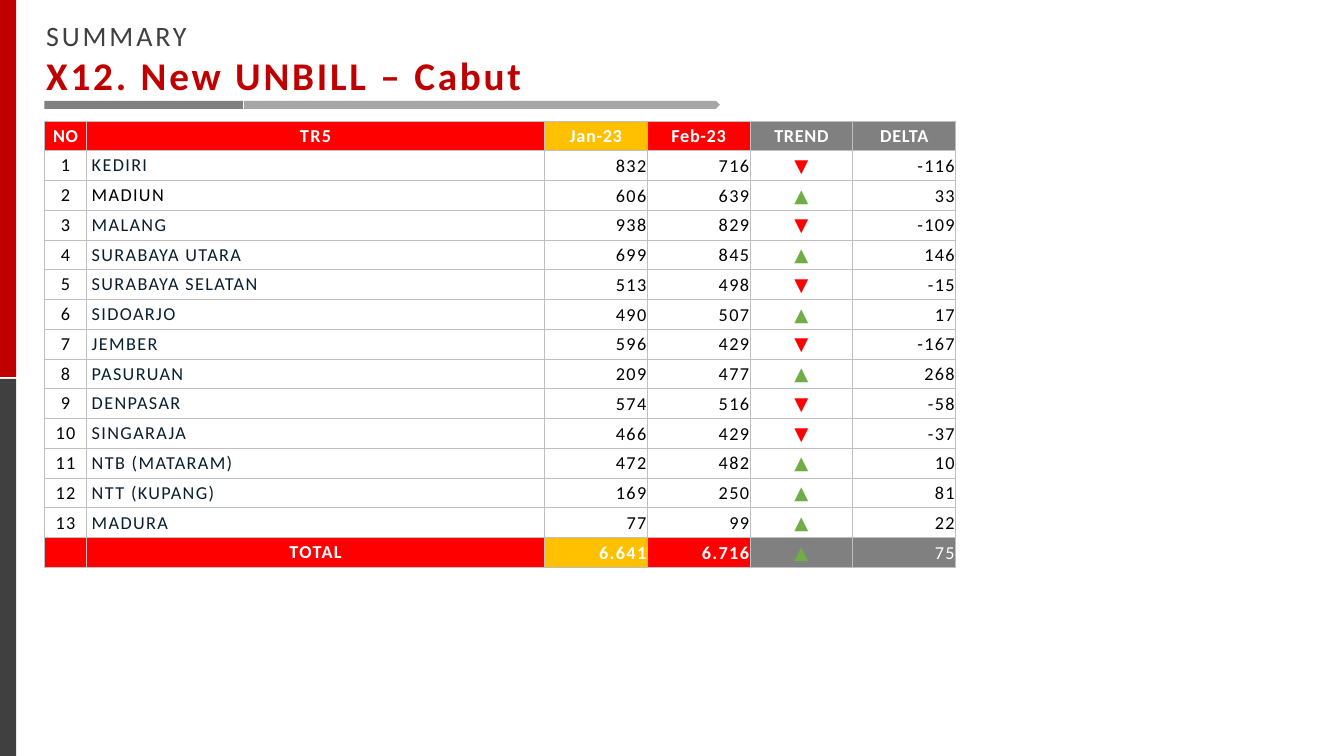
from dataclasses import dataclass

from lxml import etree
from pptx import Presentation
from pptx.dml.color import RGBColor
from pptx.enum import shapes, text
from pptx.oxml import ns
from pptx.util import Inches, Pt


@dataclass(frozen=True)
class Theme:
    font: str = "Calibri"
    dark: str = "404040"
    accent: str = "C00000"
    red: str = "FF0000"
    amber: str = "FFC000"
    gray: str = "808080"
    light_gray: str = "A6A6A6"
    border: str = "BFBFBF"
    navy: str = "091F30"
    green: str = "70AD47"
    black: str = "000000"
    white: str = "FFFFFF"
    kicker_size: int = 20
    title_size: int = 28
    table_size: int = 13


T = Theme()
LEFT, CENTER, RIGHT = text.PP_ALIGN.LEFT, text.PP_ALIGN.CENTER, text.PP_ALIGN.RIGHT

HEADERS = ["NO", "TR5", "Jan-23", "Feb-23", "TREND", "DELTA"]
HEADER_SPACING = [0.5, 1, 0.5, 0.5, 0.5, 0.5]
BAND_FILLS = [T.red, T.red, T.amber, T.red, T.gray, T.gray]
COLUMN_WIDTHS = [0.42, 4.54, 1.02, 1.02, 1.02, 1.02]
BODY_ALIGNS = [CENTER, LEFT, RIGHT, RIGHT, CENTER, RIGHT]
TABLE_HEIGHT = 4.43

REGIONS = [
    ("KEDIRI", 832, 716),
    ("MADIUN", 606, 639),
    ("MALANG", 938, 829),
    ("SURABAYA UTARA", 699, 845),
    ("SURABAYA SELATAN", 513, 498),
    ("SIDOARJO", 490, 507),
    ("JEMBER", 596, 429),
    ("PASURUAN", 209, 477),
    ("DENPASAR", 574, 516),
    ("SINGARAJA", 466, 429),
    ("NTB (MATARAM)", 472, 482),
    ("NTT (KUPANG)", 169, 250),
    ("MADURA", 77, 99),
]


def style_run(r, size, color, bold=False, spacing=1):
    r.font.name = T.font
    r.font.size = Pt(size)
    r.font.bold = bold
    r.font.color.rgb = RGBColor.from_string(color)
    r.font._element.set("spc", str(int(spacing * 100)))


def add_block(parent, kind, left, top, width, height, color):
    sp = parent.add_shape(kind, Inches(left), Inches(top), Inches(width), Inches(height))
    sp.shadow.inherit = False
    sp.fill.solid()
    sp.fill.fore_color.rgb = RGBColor.from_string(color)
    sp.line.fill.background()


def add_title(s, kicker, title):
    tf = s.shapes.add_textbox(Inches(0.36), Inches(0.13), Inches(5.01), Inches(0.91)).text_frame
    tf.word_wrap = False
    tf.auto_size = text.MSO_AUTO_SIZE.SHAPE_TO_FIT_TEXT
    tf.text = f"{kicker}\n{title}"
    style_run(tf.paragraphs[0].runs[0], T.kicker_size, T.dark, spacing=2)
    style_run(tf.paragraphs[1].runs[0], T.title_size, T.accent, bold=True, spacing=2)


def add_borders(cell):
    tc_pr = cell._tc.get_or_add_tcPr()
    for side in ("a:lnL", "a:lnR", "a:lnT", "a:lnB"):
        ln = etree.SubElement(tc_pr, ns.qn(side), w=str(Pt(0.75)))
        fill = etree.SubElement(ln, ns.qn("a:solidFill"))
        etree.SubElement(fill, ns.qn("a:srgbClr"), val=T.border)


def fill_cell(cell, value, align, color, fill=None, bold=False, spacing=1, inset=0, indent=0):
    add_borders(cell)
    if fill:
        cell.fill.solid()
        cell.fill.fore_color.rgb = RGBColor.from_string(fill)
    else:
        cell.fill.background()
    cell.vertical_anchor = text.MSO_ANCHOR.MIDDLE
    cell.margin_left = Inches(inset + indent)
    cell.margin_right = cell.margin_top = Inches(inset)
    cell.margin_bottom = 0
    p = cell.text_frame.paragraphs[0]
    p.text = value
    p.alignment = align
    for r in p.runs:
        style_run(r, T.table_size, color, bold, spacing)
    if not value:
        p._p.get_or_add_endParaRPr().set("sz", str(T.table_size * 100))


def row_values(number, name, jan, feb):
    """Return a row's texts, with trend and delta worked out from the two months."""
    months = [f"{n:,}".replace(",", ".") for n in (jan, feb)]
    return [number, name, *months, "▲" if feb > jan else "▼", str(feb - jan)]


def fill_region_row(table, row, values):
    name_color = T.black if values[1] == "MADIUN" else T.navy
    trend_color = T.green if values[4] == "▲" else T.red
    colors = [T.black, name_color, T.black, T.black, trend_color, T.black]
    for col, value in enumerate(values):
        fill_cell(table.cell(row, col), value, BODY_ALIGNS[col], colors[col],
                  inset=0.01 if col > 1 else 0, indent=0.05 if col == 1 else 0)


def add_region_table(s):
    rows = len(REGIONS) + 2
    table = s.shapes.add_table(rows, len(HEADERS), Inches(0.44), Inches(1.2),
                               Inches(sum(COLUMN_WIDTHS)), Inches(TABLE_HEIGHT)).table
    table.first_row = table.horz_banding = False
    for column, width in zip(table.columns, COLUMN_WIDTHS):
        column.width = Inches(width)
    for row in table.rows:
        row.height = Inches(TABLE_HEIGHT / rows)

    for col, value in enumerate(HEADERS):
        fill_cell(table.cell(0, col), value, CENTER, T.white, BAND_FILLS[col], bold=True,
                  spacing=HEADER_SPACING[col], inset=0.01 if col > 3 else 0)

    for number, region in enumerate(REGIONS, 1):
        fill_region_row(table, number, row_values(str(number), *region))

    jan, feb = (sum(region[i] for region in REGIONS) for i in (1, 2))
    for col, value in enumerate(row_values("", "TOTAL", jan, feb)):
        fill_cell(table.cell(rows - 1, col), value, CENTER if col == 1 else BODY_ALIGNS[col],
                  T.green if col == 4 else T.white, BAND_FILLS[col], bold=col < 4,
                  inset=0.01 if col > 1 else 0)


def main():
    prs = Presentation()
    prs.slide_width, prs.slide_height = Inches(13.33), Inches(7.5)
    s = prs.slides.add_slide(prs.slide_layouts[6])
    rect, arrow = shapes.MSO_SHAPE.RECTANGLE, shapes.MSO_SHAPE.PENTAGON

    add_block(s.shapes, rect, 0, 3.76, 0.16, 3.74, T.dark)
    add_block(s.shapes, rect, 0, 0, 0.16, 3.74, T.accent)
    add_title(s, "SUMMARY", "X12. New UNBILL – Cabut")
    underline = s.shapes.add_group_shape().shapes
    add_block(underline, arrow, 2.42, 1, 4.72, 0.08, T.light_gray)
    add_block(underline, rect, 0.44, 1, 1.97, 0.08, T.gray)
    add_region_table(s)

    prs.save("out.pptx")


if __name__ == "__main__":
    main()
